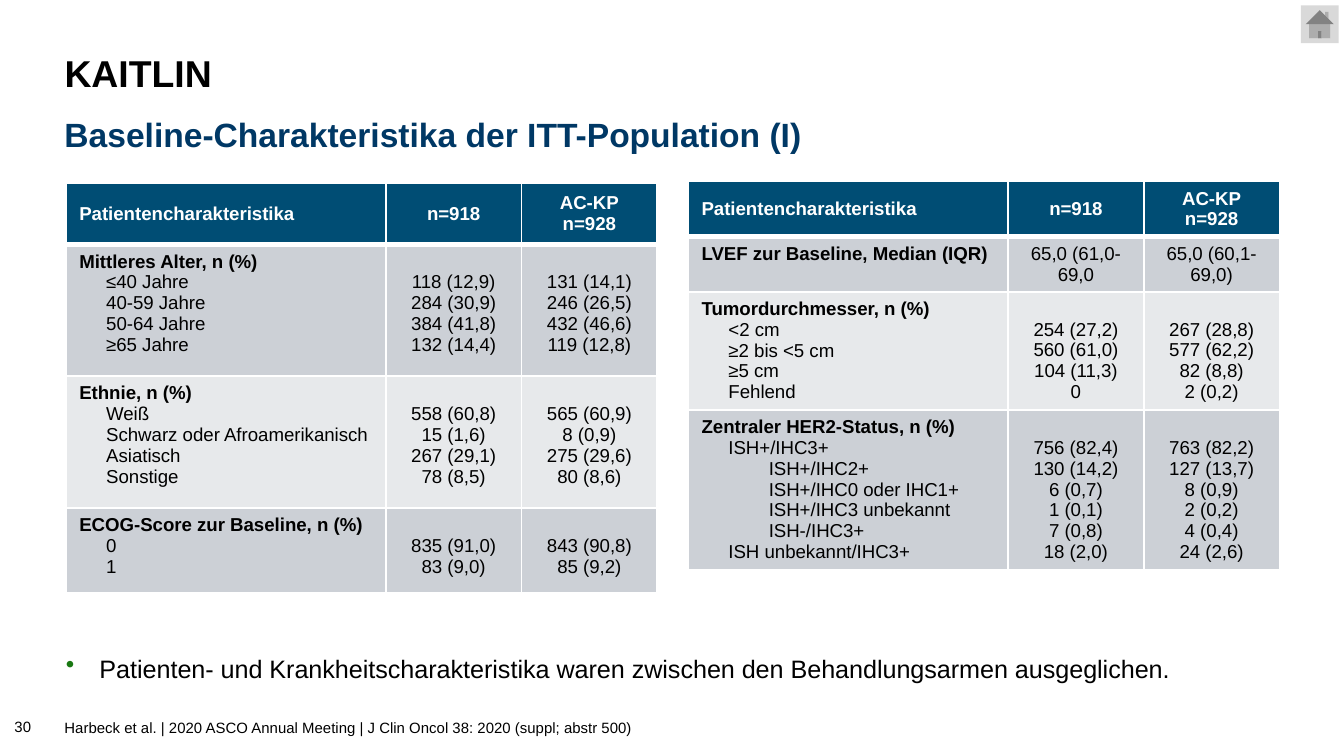
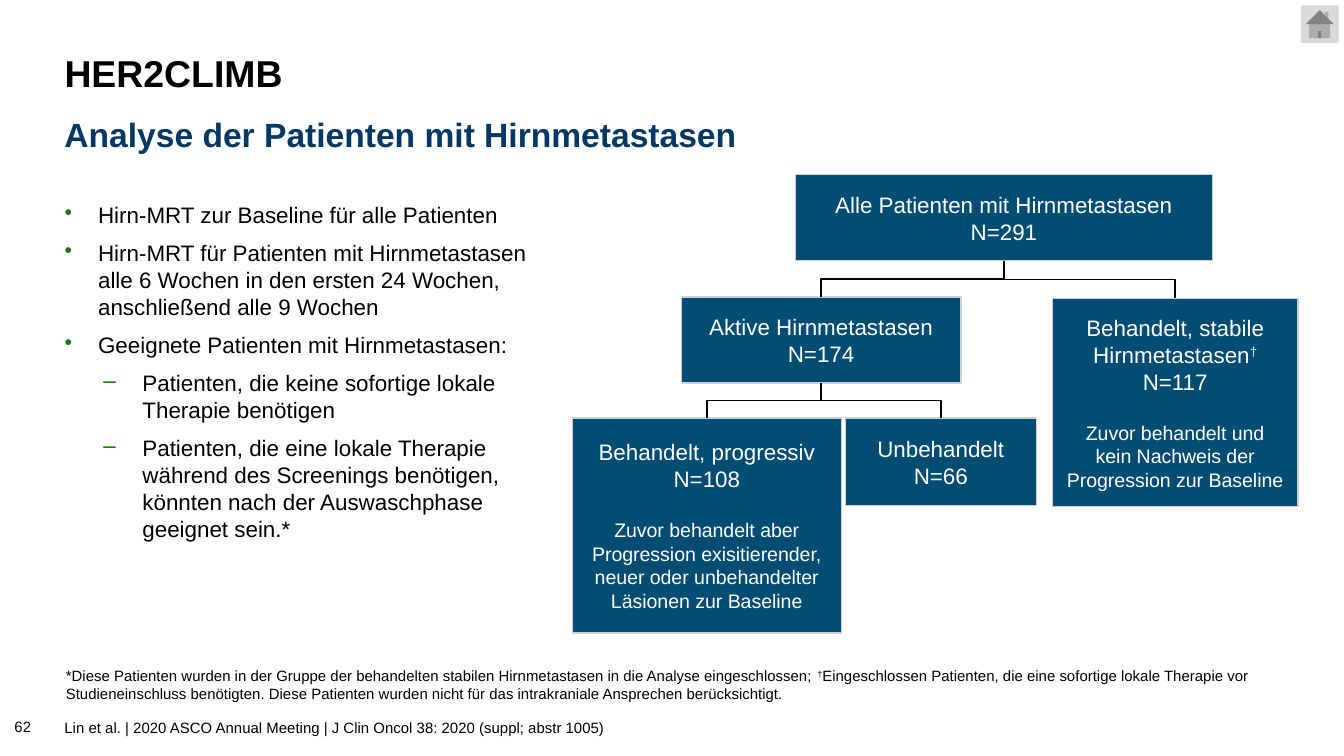
"""Build two oncology study slides: baseline tables and a patient flow chart."""
from dataclasses import dataclass
from typing import Any, NamedTuple, Optional, Sequence

from lxml import etree
from pptx import Presentation
from pptx.dml.color import RGBColor
from pptx.enum.shapes import MSO_CONNECTOR, MSO_SHAPE
from pptx.enum.text import MSO_ANCHOR, MSO_AUTO_SIZE, PP_ALIGN
from pptx.oxml.ns import qn
from pptx.util import Inches, Pt

LEFT, CENTER = PP_ALIGN.LEFT, PP_ALIGN.CENTER
TOP, MIDDLE, BOTTOM = MSO_ANCHOR.TOP, MSO_ANCHOR.MIDDLE, MSO_ANCHOR.BOTTOM
RECTANGLE, HOME = MSO_SHAPE.RECTANGLE, MSO_SHAPE.ACTION_BUTTON_HOME
ELBOW, NO_FIT = MSO_CONNECTOR.ELBOW, MSO_AUTO_SIZE.NONE
COLUMNS, ROWS = 100, 56.25
TITLE_ONLY = 5
BOTTOM_SITE, TOP_SITE = 2, 0
QUARTER_TURN = 90 * 60000


@dataclass(frozen=True)
class Theme:
    """Colours and type sizes used on every slide."""
    font: str = "Arial"
    ink: str = "000000"
    paper: str = "FFFFFF"
    heading: str = "003865"
    panel: str = "004D74"
    panel_edge: str = "CBD0D6"
    bullet: str = "197812"
    button: str = "D9D9D9"
    bands: tuple[str, str] = ("CCD0D6", "E7E9EB")
    title: float = 20
    subtitle: float = 18
    statement: float = 13.5
    body: float = 12
    note: float = 10.5
    table: float = 10
    small: float = 8


THEME = Theme()


class Spot(NamedTuple):
    """A place on the grid: column, row, columns wide and rows high."""
    column: float
    row: float
    wide: float
    high: float


class Insets(NamedTuple):
    """Inner margins of a text frame in grid cells."""
    left: float = 1
    top: float = 0.5
    right: float = 1
    bottom: float = 0.5


@dataclass(frozen=True)
class Line:
    """One paragraph with its format."""
    text: str
    size: float = THEME.body
    color: str = THEME.ink
    bold: bool = False
    align: Any = LEFT
    indent: float = 0
    hanging: float = 0
    bullet: str = ""
    before: float = 0
    spacing: float = 1


class Item(NamedTuple):
    """A table line with the values of both study arms."""
    label: str
    first: str
    second: str
    indent: float = 2


class Group(NamedTuple):
    """A table row: bold heading, its items and the row height."""
    heading: str
    high: float
    items: Sequence[Item]
    flush: bool = False


class Node(NamedTuple):
    """A box of the flow chart and the name of the box above it."""
    name: str
    spot: Spot
    headline: str
    count: str
    note: str = ""
    parent: Optional[str] = None


FLUSH_LEFT = Insets(left=0)
NO_INSETS = Insets(0, 0, 0, 0)
TABLE_COLUMNS = (23.8, 10.1, 10.1)
HEADER = ("Patientencharakteristika", "n=918", "AC-KP\nn=928")

AGE_GROUPS = (
    Group("Mittleres Alter, n (%)", 9.8, (
        Item("≤40 Jahre", "118 (12,9)", "131 (14,1)"),
        Item("40-59 Jahre", "284 (30,9)", "246 (26,5)"),
        Item("50-64 Jahre", "384 (41,8)", "432 (46,6)"),
        Item("≥65 Jahre", "132 (14,4)", "119 (12,8)"))),
    Group("Ethnie, n (%)", 9.8, (
        Item("Weiß", "558 (60,8)", "565 (60,9)"),
        Item("Schwarz oder Afroamerikanisch", "15 (1,6)", "8 (0,9)"),
        Item("Asiatisch", "267 (29,1)", "275 (29,6)"),
        Item("Sonstige", "78 (8,5)", "80 (8,6)"))),
    Group("ECOG-Score zur Baseline, n (%)", 6.3, (
        Item("0", "835 (91,0)", "843 (90,8)"),
        Item("1", "83 (9,0)", "85 (9,2)"))),
)
TUMOR_GROUPS = (
    Group("LVEF zur Baseline, Median (IQR)", 4.1, (
        Item("", "65,0 (61,0-69,0", "65,0 (60,1-69,0)"),), flush=True),
    Group("Tumordurchmesser, n (%)", 8.8, (
        Item("<2 cm", "254 (27,2)", "267 (28,8)"),
        Item("≥2 bis <5 cm", "560 (61,0)", "577 (62,2)"),
        Item("≥5 cm", "104 (11,3)", "82 (8,8)"),
        Item("Fehlend", "0", "2 (0,2)"))),
    Group("Zentraler HER2-Status, n (%)", 11.8, (
        Item("ISH+/IHC3+", "756 (82,4)", "763 (82,2)"),
        Item("ISH+/IHC2+", "130 (14,2)", "127 (13,7)", 5),
        Item("ISH+/IHC0 oder IHC1+", "6 (0,7)", "8 (0,9)", 5),
        Item("ISH+/IHC3 unbekannt", "1 (0,1)", "2 (0,2)", 5),
        Item("ISH-/IHC3+", "7 (0,8)", "4 (0,4)", 5),
        Item("ISH unbekannt/IHC3+", "18 (2,0)", "24 (2,6)"))),
)
NODES = (
    Node("all", Spot(59.2, 13, 31, 6.4), "Alle Patienten mit Hirnmetastasen", "N=291"),
    Node("active", Spot(50.7, 22.1, 20.8, 6.4), "Aktive Hirnmetastasen", "N=174", parent="all"),
    Node("stable", Spot(78.3, 22.2, 18.3, 15.5), "Behandelt, stabile Hirnmetastasen†", "N=117",
         "Zuvor behandelt und kein Nachweis der Progression zur Baseline", "all"),
    Node("progressive", Spot(42.6, 31.1, 20, 16), "Behandelt, progressiv", "N=108",
         "Zuvor behandelt aber Progression exisitierender, neuer oder unbehandelter "
         "Läsionen zur Baseline", "active"),
    Node("untreated", Spot(62.9, 31.1, 14.2, 6.5), "Unbehandelt", "N=66", parent="active"),
)
MRI_POINTS = (
    "Hirn-MRT zur Baseline für alle Patienten",
    "Hirn-MRT für Patienten mit Hirnmetastasen alle 6 Wochen in den ersten 24 Wochen, "
    "anschließend alle 9 Wochen",
    "Geeignete Patienten mit Hirnmetastasen:",
)
ELIGIBILITY = (
    "Patienten, die keine sofortige lokale Therapie benötigen",
    "Patienten, die eine lokale Therapie während des Screenings benötigen, könnten nach der "
    "Auswaschphase geeignet sein.*",
)
FOOTNOTE = (
    "*Diese Patienten wurden in der Gruppe der behandelten stabilen Hirnmetastasen in die Analyse "
    "eingeschlossen; †Eingeschlossen Patienten, die eine sofortige lokale Therapie vor "
    "Studieneinschluss benötigten. Diese Patienten wurden nicht für das intrakraniale Ansprechen "
    "berücksichtigt."
)


def cells(count: float) -> int:
    """Turn grid cells into a length; a cell is a tenth of an inch."""
    return Inches(count / 10)


def place(spot: Spot) -> tuple[int, ...]:
    """Turn a spot into left, top, width and height."""
    return tuple(cells(value) for value in spot)


def assign(target: Any, values: dict[str, Any]) -> None:
    """Set every named format value on the target."""
    for name, value in values.items():
        setattr(target, name, value)


def margins(insets: Insets) -> dict[str, int]:
    """Return the margin values of a frame or table cell."""
    return {f"margin_{side}": cells(value) for side, value in insets._asdict().items()}


def add_span(para: Any, text: str, line: Line, raised: bool = False) -> None:
    """Add a formatted run, raised when it is a reference mark."""
    span = para.add_run()
    span.text = text
    assign(span.font, {"name": THEME.font, "size": Pt(line.size), "bold": line.bold})
    span.font.color.rgb = RGBColor.from_string(line.color)
    if raised:
        span.font._element.set("baseline", "30000")


def write(frame: Any, lines: Sequence[Line]) -> None:
    """Fill a text frame with formatted paragraphs."""
    for index, line in enumerate(lines):
        para = frame.paragraphs[0] if index == 0 else frame.add_paragraph()
        layout = para._p.get_or_add_pPr()
        layout.set("marL", str(cells(line.indent)))
        layout.set("indent", str(-cells(line.hanging)))
        if line.bullet:
            tint = etree.SubElement(layout, qn("a:buClr"))
            etree.SubElement(tint, qn("a:srgbClr"), val=THEME.bullet)
            etree.SubElement(layout, qn("a:buChar"), char=line.bullet)
        assign(para, {"alignment": line.align, "line_spacing": line.spacing,
                      "space_before": Pt(line.before if index else 0)})
        head, mark, tail = line.text.partition("†")
        for text, raised in ((head, False), (mark, True), (tail, False)):
            if text:
                add_span(para, text, line, raised)


def set_text(box: Any, lines: Sequence[Line], anchor: Any = TOP, insets: Insets = Insets()) -> None:
    """Format the text frame of a shape and write its lines."""
    assign(box.text_frame, {"word_wrap": True, "auto_size": NO_FIT,
                            "vertical_anchor": anchor, **margins(insets)})
    write(box.text_frame, lines)


def add_text(page: Any, spot: Spot, lines: Sequence[Line], anchor: Any = TOP,
             insets: Insets = FLUSH_LEFT) -> None:
    """Add a text box."""
    set_text(page.shapes.add_textbox(*place(spot)), lines, anchor, insets)


def add_panel(page: Any, kind: Any, spot: Spot, fill: str, edge: str = "") -> Any:
    """Add a flat filled shape with an optional edge."""
    box = page.shapes.add_shape(kind, *place(spot))
    box.shadow.inherit = False
    box.fill.solid()
    box.fill.fore_color.rgb = RGBColor.from_string(fill)
    if edge:
        box.line.color.rgb = RGBColor.from_string(edge)
        box.line.width = Pt(0.75)
    else:
        box.line.fill.background()
    return box


def add_page(deck: Any, title: str, subtitle: str, source: str, number: str) -> Any:
    """Add a slide with the shared title, subtitle, source, number and button."""
    page = deck.slides.add_slide(deck.slide_layouts[TITLE_ONLY])
    heading = page.shapes.title
    assign(heading, dict(zip(("left", "top", "width", "height"), place(Spot(4.8, 3, 90.6, 5.2)))))
    set_text(heading, [Line(title, THEME.title, bold=True, spacing=0.9)], MIDDLE, FLUSH_LEFT)
    add_panel(page, HOME, Spot(96.8, 0.4, 2.8, 2.8), THEME.button)
    add_text(page, Spot(4.8, 8, 90.6, 3.9),
             [Line(subtitle, THEME.subtitle, THEME.heading, True)], MIDDLE)
    add_text(page, Spot(4.8, 53, 90.6, 2.5), [Line(source, THEME.small)])
    add_text(page, Spot(0.1, 52.7, 4.3, 2.5), [Line(number, THEME.small)], BOTTOM, Insets())
    return page


def fill_cell(cell: Any, lines: Sequence[Line], fill: str, anchor: Any, insets: Insets,
              edges: dict[str, float]) -> None:
    """Give a table cell its borders, fill and text."""
    for side in "LRTB":
        width = Pt(edges.get(side, 1))
        border = etree.SubElement(cell._tc.get_or_add_tcPr(), qn(f"a:ln{side}"), w=str(width))
        paint = etree.SubElement(border, qn("a:solidFill"))
        etree.SubElement(paint, qn("a:srgbClr"), val=THEME.paper)
    cell.fill.solid()
    cell.fill.fore_color.rgb = RGBColor.from_string(fill)
    assign(cell, {"vertical_anchor": anchor, **margins(insets)})
    write(cell.text_frame, lines)


def add_characteristics(page: Any, column: float, row: float, header_high: float,
                        groups: Sequence[Group]) -> None:
    """Add a table of patient characteristics."""
    heights = [header_high, *(group.high for group in groups)]
    spot = Spot(column, row, sum(TABLE_COLUMNS), sum(heights))
    table = page.shapes.add_table(len(heights), len(TABLE_COLUMNS), *place(spot)).table
    table.horz_banding = False
    for track, width in zip(table.columns, TABLE_COLUMNS):
        track.width = cells(width)
    for track, height in zip(table.rows, heights):
        track.height = cells(height)
    for index, text in enumerate(HEADER):
        lines = [Line(part, THEME.table, THEME.paper, True, CENTER if index else LEFT)
                 for part in text.split("\n")]
        fill_cell(table.cell(0, index), lines, THEME.panel, MIDDLE, Insets(), {"B": 3})
    for number, group in enumerate(groups, start=1):
        labels = [Line(group.heading, THEME.table, bold=True)]
        labels += [Line(item.label, THEME.table, indent=item.indent)
                   for item in group.items if item.label]
        firsts, seconds = ([Line(text, THEME.table, align=CENTER) for text in texts]
                           for texts in zip(*((item.first, item.second) for item in group.items)))
        below_heading = Insets() if group.flush else Insets(top=2.05)
        for index, lines in enumerate((labels, firsts, seconds)):
            fill_cell(table.cell(number, index), lines, THEME.bands[(number - 1) % 2], TOP,
                      below_heading if index else Insets(), {"T": 3} if number == 1 else {})


def add_branch(page: Any, parent: Any, child: Any) -> None:
    """Join the bottom of a box to the top of a lower box by an elbow."""
    start, end = parent.left + parent.width // 2, child.left + child.width // 2
    upper, lower = parent.top + parent.height, child.top
    run, drop = abs(end - start), lower - upper
    branch = page.shapes.add_connector(ELBOW, start, upper, end, lower)
    branch.begin_connect(parent, BOTTOM_SITE)
    branch.end_connect(child, TOP_SITE)
    assign(branch, {"left": (start + end - drop) // 2, "top": (upper + lower - run) // 2,
                    "width": drop, "height": run})
    rightward = end > start
    frame = branch.element.spPr.find(qn("a:xfrm"))
    frame.set("rot", str(QUARTER_TURN * (3 if rightward else 1)))
    frame.set("flipH", "1" if rightward else "0")
    branch.line.color.rgb = RGBColor.from_string(THEME.ink)
    branch.line.width = Pt(1)
    etree.SubElement(branch.element.spPr, qn("a:effectLst"))


def add_flow(page: Any, nodes: Sequence[Node]) -> None:
    """Draw the patient flow chart."""
    boxes: dict[str, Any] = {}
    for node in nodes:
        box = add_panel(page, RECTANGLE, node.spot, THEME.panel, THEME.panel_edge)
        lines = [Line(text, THEME.body, THEME.paper, align=CENTER)
                 for text in (node.headline, node.count)]
        if node.note:
            lines.append(Line(node.note, THEME.note, THEME.paper, align=CENTER, before=14))
        set_text(box, lines, MIDDLE)
        boxes[node.name] = box
    for node in nodes:
        if node.parent:
            add_branch(page, boxes[node.parent], boxes[node.name])


def bullet_line(text: str, size: float = THEME.body) -> Line:
    """Return a first-level bullet."""
    return Line(text, size, indent=2.5, hanging=2.5, bullet="•", before=6)


def dash_line(text: str) -> Line:
    """Return a second-level bullet."""
    return Line(text, indent=5.8, hanging=2.9, bullet="–", before=6)


def build_baseline(deck: Any) -> None:
    """Build the slide with the baseline tables."""
    page = add_page(deck, "KAITLIN", "Baseline-Charakteristika der ITT-Population (I)",
                    "Harbeck et al. | 2020 ASCO Annual Meeting | J Clin Oncol 38: 2020 "
                    "(suppl; abstr 500)", "30")
    add_characteristics(page, 4.9, 13.6, 4.6, AGE_GROUPS)
    add_characteristics(page, 51.2, 13.5, 4.1, TUMOR_GROUPS)
    add_text(page, Spot(4.9, 48.1, 90.5, 4), [bullet_line(
        "Patienten- und Krankheitscharakteristika waren zwischen den Behandlungsarmen "
        "ausgeglichen.", THEME.statement)])


def build_metastases(deck: Any) -> None:
    """Build the slide with the patient flow chart."""
    page = add_page(deck, "HER2CLIMB", "Analyse der Patienten mit Hirnmetastasen",
                    "Lin et al. | 2020 ASCO Annual Meeting | J Clin Oncol 38: 2020 "
                    "(suppl; abstr 1005)", "62")
    add_text(page, Spot(4.9, 49.6, 90.6, 2.7), [Line(FOOTNOTE, THEME.small)], BOTTOM, NO_INSETS)
    add_text(page, Spot(4.8, 14.5, 37.8, 28.5),
             [*map(bullet_line, MRI_POINTS), *map(dash_line, ELIGIBILITY)])
    add_flow(page, NODES)


def main() -> None:
    """Build and save the deck."""
    deck = Presentation()
    assign(deck, {"slide_width": cells(COLUMNS), "slide_height": cells(ROWS)})
    build_baseline(deck)
    build_metastases(deck)
    deck.save("out.pptx")


if __name__ == "__main__":
    main()
